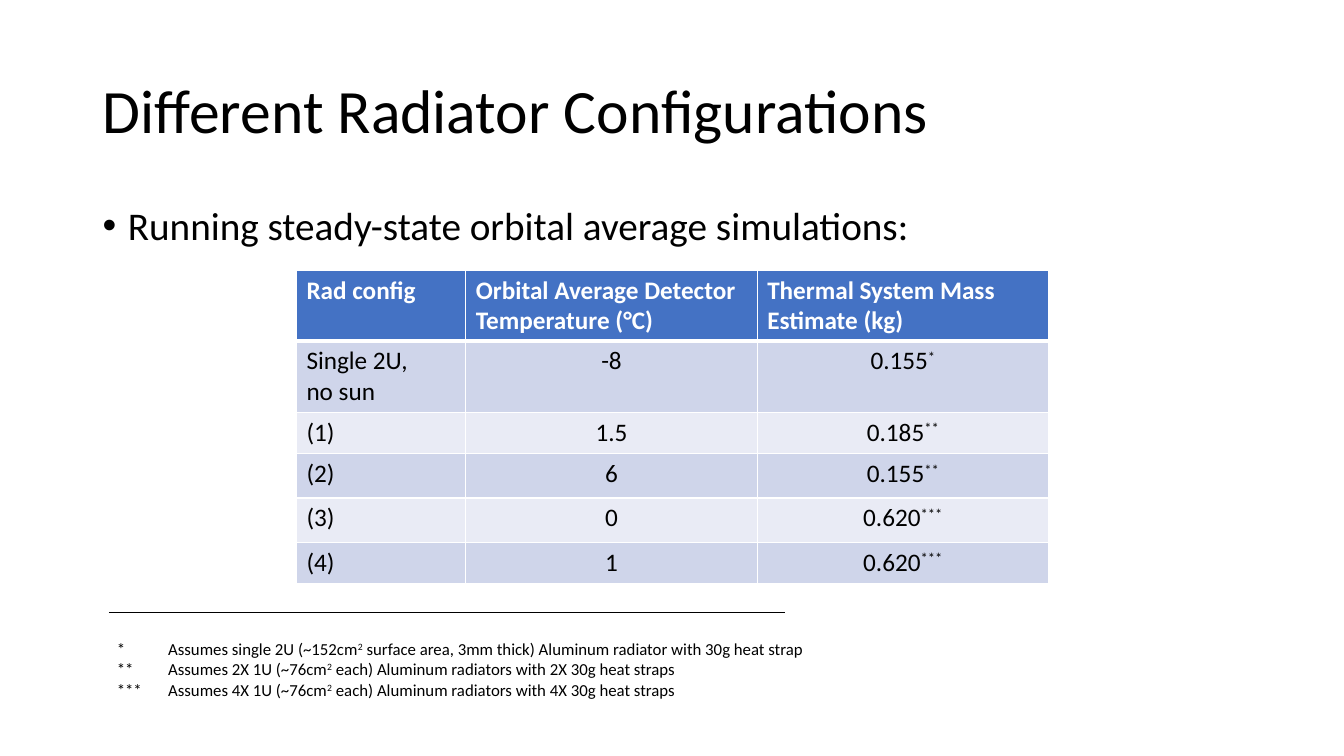
import pptx
import pptx.dml.color
import pptx.enum.text
import pptx.oxml
import pptx.oxml.ns
import pptx.util
from pptx.util import Inches

FONT = "Calibri"
BLACK, WHITE = "000000", "FFFFFF"
HEADER_FILL, BAND_FILLS = "4472C4", ("CFD5EA", "E9EBF5")
ALIGN = pptx.enum.text.PP_ALIGN

COLUMN_WIDTHS = (1.68, 2.89, 2.89)
ROW_HEIGHTS = (0.7, 0.71, 0.41, 0.44, 0.44, 0.41)
ROWS = (
    ("Rad config", "Orbital Average Detector Temperature (°C)", "Thermal System Mass Estimate (kg)"),
    ("Single 2U,\vno sun", "-8", "0.155^*"),
    ("(1)", "1.5", "0.185^**"),
    ("(2)", "6", "0.155^**"),
    ("(3)", "0", "0.620^***"),
    ("(4)", "1", "0.620^***"),
)
FOOTNOTES = (
    "*\tAssumes single 2U (~152cm^2^ surface area, 3mm thick) Aluminum radiator with 30g heat strap",
    "**\tAssumes 2X 1U (~76cm^2^ each) Aluminum radiators with 2X 30g heat straps",
    "***\tAssumes 4X 1U (~76cm^2^ each) Aluminum radiators with 4X 30g heat straps",
)


def rgb(color):
    return pptx.dml.color.RGBColor.from_string(color)


def element(xml):
    return pptx.oxml.parse_xml(xml.replace(">", f' {pptx.oxml.ns.nsdecls("a")}>', 1))


def write(para, text, size, color=BLACK, bold=False):
    parts = text.split("^")
    para.text = parts[0]
    for part in parts[1:]:
        para.add_run().text = part
    for index, span in enumerate(para.runs):
        span.font.name = FONT
        span.font.size = pptx.util.Pt(size)
        span.font.bold = bold
        span.font.color.rgb = rgb(color)
        if len(parts) > 1:
            span.font._element.set("baseline", "30000" if index % 2 else "0")


def set_hanging_indent(para, indent):
    properties = para._p.get_or_add_pPr()
    properties.set("marL", str(Inches(indent)))
    properties.set("indent", str(-Inches(indent)))
    return properties


def place(box, left, top, width, height):
    box.left, box.top = Inches(left), Inches(top)
    box.width, box.height = Inches(width), Inches(height)


def add_title(page, text):
    title = page.shapes.title
    place(title, 0.92, 0.4, 11.5, 1.45)
    frame = title.text_frame
    frame.word_wrap = True
    frame.auto_size = pptx.enum.text.MSO_AUTO_SIZE.NONE
    frame.vertical_anchor = pptx.enum.text.MSO_ANCHOR.MIDDLE
    para = frame.paragraphs[0]
    write(para, text, 44)
    para.alignment = ALIGN.LEFT
    para.line_spacing = 0.9


def add_text_box(page, left, top, width, height):
    box = page.shapes.add_textbox(Inches(left), Inches(top), Inches(width), Inches(height))
    box.text_frame.word_wrap = True
    return box.text_frame


def add_bullet(page, text):
    para = add_text_box(page, 0.92, 2, 11.5, 0.6).paragraphs[0]
    write(para, text, 28)
    para.line_spacing = 0.9
    para.space_before = pptx.util.Pt(10)
    properties = set_hanging_indent(para, 0.25)
    properties.append(element('<a:buFont typeface="Arial"/>'.replace("/>", "></a:buFont>")))
    properties.append(element('<a:buChar char="•"></a:buChar>'))


def set_borders(cell, widths):
    properties = cell._tc.get_or_add_tcPr()
    for side, width in widths.items():
        properties.append(element(
            f'<a:ln{side} w="{pptx.util.Pt(width)}"><a:solidFill>'
            f'<a:srgbClr val="{WHITE}"/></a:solidFill></a:ln{side}>'))


def add_radiator_table(page):
    table = page.shapes.add_table(
        len(ROWS), len(COLUMN_WIDTHS), Inches(2.94), Inches(2.68),
        Inches(sum(COLUMN_WIDTHS)), Inches(sum(ROW_HEIGHTS))).table
    for column, width in zip(table.columns, COLUMN_WIDTHS):
        column.width = Inches(width)
    for row_index, (row, height) in enumerate(zip(table.rows, ROW_HEIGHTS)):
        row.height = Inches(height)
        header = row_index == 0
        fill = HEADER_FILL if header else BAND_FILLS[(row_index - 1) % 2]
        borders = {"L": 1, "R": 1, "T": 3 if row_index == 1 else 1, "B": 3 if header else 1}
        for column_index, cell in enumerate(row.cells):
            para = cell.text_frame.paragraphs[0]
            write(para, ROWS[row_index][column_index], 18, WHITE if header else BLACK, header)
            para.alignment = ALIGN.LEFT if header or column_index == 0 else ALIGN.CENTER
            set_borders(cell, borders)
            cell.fill.solid()
            cell.fill.fore_color.rgb = rgb(fill)


def add_rule(page, left, right, top):
    rule = page.shapes.add_connector(
        pptx.enum.shapes.MSO_CONNECTOR.STRAIGHT,
        Inches(left), Inches(top), Inches(right), Inches(top))
    rule.line.color.rgb = rgb(BLACK)
    rule.line.width = pptx.util.Pt(0.5)
    rule._element.spPr.append(element("<a:effectLst></a:effectLst>"))


def add_footnotes(page):
    frame = add_text_box(page, 1.06, 6.29, 10.75, 0.71)
    for index, note in enumerate(FOOTNOTES):
        para = frame.add_paragraph() if index else frame.paragraphs[0]
        write(para, note, 12)
        set_hanging_indent(para, 0.51)


def main():
    deck = pptx.Presentation()
    deck.slide_width, deck.slide_height = Inches(13.33), Inches(7.5)
    page = deck.slides.add_slide(deck.slide_layouts[5])
    add_title(page, "Different Radiator Configurations")
    add_bullet(page, "Running steady-state orbital average simulations:")
    add_radiator_table(page)
    add_rule(page, 1.08, 7.79, 6.08)
    add_footnotes(page)
    deck.save("out.pptx")


if __name__ == "__main__":
    main()
